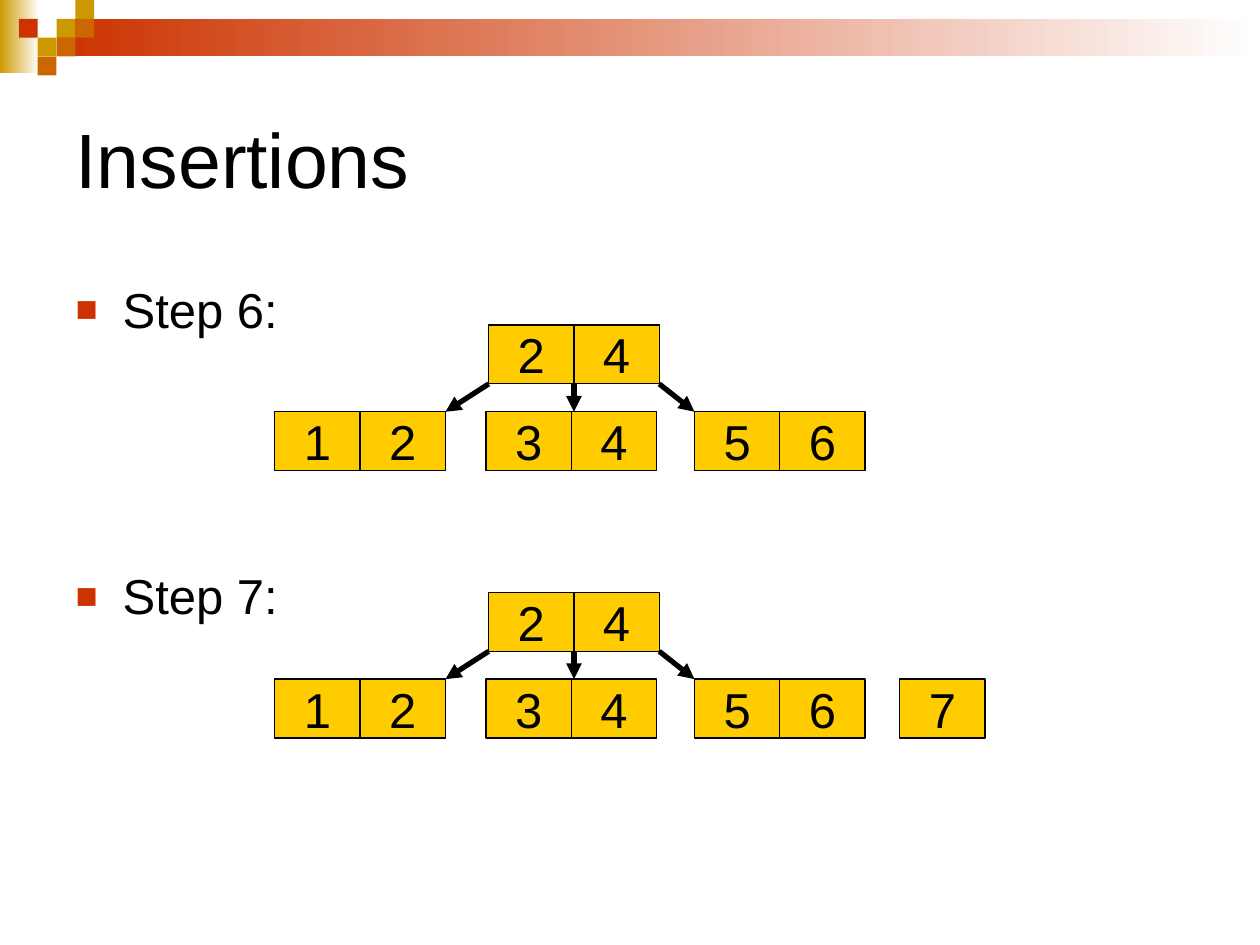
from lxml.etree import SubElement
from pptx import Presentation
from pptx.dml.color import RGBColor
from pptx.enum.shapes import MSO_CONNECTOR as CONN, MSO_SHAPE as SHAPE
from pptx.enum.text import MSO_ANCHOR as ANCHOR, MSO_AUTO_SIZE as AUTO, PP_ALIGN as ALIGN
from pptx.oxml.ns import qn
from pptx.util import Cm, Pt

COLORS = {"black": "000000", "white": "FFFFFF", "node": "FFCC00",
          "red": "CC3300", "gold": "CC9900", "orange": "CC6600"}
FONT = "Arial"
CELL_W, CELL_H = 1.72, 1.19


def rgb(name):
    return RGBColor.from_string(COLORS[name])


def style_runs(p, size):
    for r in p.runs:
        r.font.name, r.font.size = FONT, Pt(size)
        r.font.color.rgb = rgb("black")


def place(sp, x, y, w, h):
    sp.left, sp.top, sp.width, sp.height = Cm(x), Cm(y), Cm(w), Cm(h)


def add_rect(shapes, x, y, w, h, color, fade=False):
    """Borderless rectangle, optionally fading to white on the right."""
    sp = shapes.add_shape(SHAPE.RECTANGLE, Cm(x), Cm(y), Cm(w), Cm(h))
    sp.shadow.inherit = False
    sp.line.fill.background()
    if fade:
        sp.fill.gradient()
        sp.fill.gradient_angle = 0
        for stop, name in zip(sp.fill.gradient_stops, (color, "white")):
            stop.color.rgb = rgb(name)
    else:
        sp.fill.solid()
        sp.fill.fore_color.rgb = rgb(color)
    return sp


def add_banner(s, x, y, w):
    unit = 0.38
    shapes = s.shapes.add_group_shape().shapes
    add_rect(shapes, x, y, 0.79, 1.47, "gold", fade=True)
    add_rect(shapes, x + 3 * unit, y + unit, w - 3 * unit, 2 * unit, "red", fade=True)
    tiles = [(3, 1, "gold"), (4, 0, "gold"), (4, 1, "orange"), (2, 2, "gold"),
             (1, 1, "red"), (3, 2, "orange"), (2, 3, "orange")]
    for col, row, color in tiles:
        add_rect(shapes, x + col * unit, y + row * unit, unit, unit, color)


def add_title(s, text, x, y, w, h):
    sp = s.shapes.title
    place(sp, x, y, w, h)
    tf = sp.text_frame
    tf.text = text
    tf.auto_size = AUTO.NONE
    tf.vertical_anchor = ANCHOR.MIDDLE
    p = tf.paragraphs[0]
    p.alignment = ALIGN.LEFT
    style_runs(p, 44)


def add_square_bullet(p):
    pPr = p._p.get_or_add_pPr()
    pPr.set("marL", str(Cm(0.95)))
    pPr.set("indent", str(-Cm(0.95)))
    clr = SubElement(pPr, qn("a:buClr"))
    SubElement(clr, qn("a:srgbClr"), val=COLORS["red"])
    SubElement(pPr, qn("a:buSzPct"), val="75000")
    SubElement(pPr, qn("a:buFont"), typeface=FONT)
    SubElement(pPr, qn("a:buChar"), char="■")


def add_steps(s, steps, x, y, w, h):
    sp = s.placeholders[1]
    place(sp, x, y, w, h)
    tf = sp.text_frame
    tf.text = "\n".join(steps)
    tf.auto_size = AUTO.NONE
    for i, p in enumerate(tf.paragraphs):
        add_square_bullet(p)
        p.space_before = Pt(130 if i else 0)
        style_runs(p, 28)


def add_node(shapes, keys, x, y):
    """Row of adjoining key cells."""
    for i, key in enumerate(keys):
        sp = add_rect(shapes, x + i * CELL_W, y, CELL_W, CELL_H, "node")
        sp.line.color.rgb = rgb("black")
        sp.line.width = Pt(0.75)
        tf = sp.text_frame
        tf.text = key
        tf.word_wrap = False
        tf.vertical_anchor = ANCHOR.MIDDLE
        p = tf.paragraphs[0]
        p.alignment = ALIGN.CENTER
        style_runs(p, 28)


def add_arrow(shapes, x1, y1, x2, y2):
    c = shapes.add_connector(CONN.STRAIGHT, Cm(x1), Cm(y1), Cm(x2), Cm(y2))
    c.line.color.rgb = rgb("black")
    c.line.width = Pt(3)
    SubElement(c.line._get_or_add_ln(), qn("a:tailEnd"), type="triangle")
    SubElement(c._element.spPr, qn("a:effectLst"))


def add_tree(s, x, y):
    """Root with three leaves below it, joined by arrows."""
    shapes = s.shapes.add_group_shape().shapes
    root_x, leaf_y = x + 4.31, y + 1.75
    leaf_xs = [x, x + 4.26, x + 8.46]
    add_node(shapes, "24", root_x, y)
    for leaf_x, keys in zip(leaf_xs, ("12", "34", "56")):
        add_node(shapes, keys, leaf_x, leaf_y)
    ends = [leaf_xs[0] + 2 * CELL_W, root_x + CELL_W, leaf_xs[2]]
    for i, end in enumerate(ends):
        add_arrow(shapes, root_x + i * CELL_W, y + CELL_H, end, leaf_y)


def main():
    prs = Presentation()
    prs.slide_width, prs.slide_height = Cm(25.4), Cm(19.05)
    s = prs.slides.add_slide(prs.slide_layouts[1])
    add_banner(s, 0, 0, 25.4)
    add_title(s, "Insertions", 1.27, 1.27, 22.86, 3.81)
    add_steps(s, ["Step 6:", "Step 7:"], 1.27, 5.51, 22.86, 10.8)
    tree_x = 5.54
    for tree_y in (6.55, 11.94):
        add_tree(s, tree_x, tree_y)
    add_node(s.shapes, "7", tree_x + 12.6, tree_y + 1.75)
    prs.save("out.pptx")


if __name__ == "__main__":
    main()
